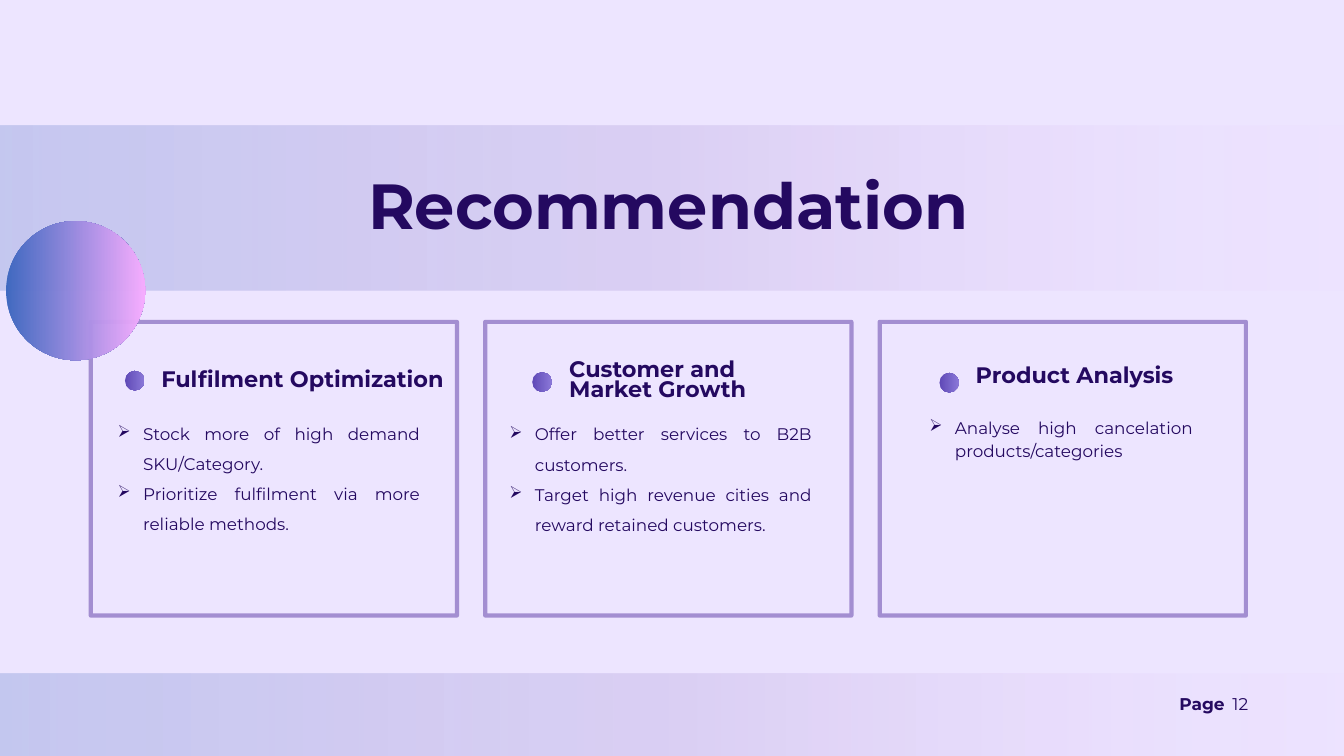
from lxml.etree import SubElement
from pptx import Presentation
from pptx.dml.color import RGBColor
from pptx.enum.shapes import MSO_SHAPE
from pptx.enum.text import MSO_ANCHOR, PP_ALIGN
from pptx.oxml.ns import qn
from pptx.util import Inches, Pt

BACKGROUND = RGBColor(0xED, 0xE5, 0xFF)
INK = RGBColor(0x24, 0x09, 0x60)
PURPLE = RGBColor(0x6B, 0x4C, 0xAF)
BLUE = RGBColor(0x3C, 0x67, 0xBF)
PINK = RGBColor(0xF7, 0xAC, 0xFF)
VIOLET = RGBColor(0x5B, 0x45, 0xB5)
LAVENDER = RGBColor(0x88, 0x75, 0xD7)

# Gradient stops: position %, colour, opacity %
BAND_STOPS = [(0, BLUE, 23), (50, PURPLE, 13), (100, PINK, 0)]
DOT_STOPS = [(0, VIOLET, 96), (100, LAVENDER, 96)]
CIRCLE_STOPS = [(0, BLUE, 96), (100, PINK, 96)]


def add_gradient_shape(preset, left, top, width, height, stops):
    shape = slide.shapes.add_shape(
        preset, Inches(left), Inches(top), Inches(width), Inches(height))
    shape.shadow.inherit = False
    shape.line.fill.background()
    shape.fill.gradient()
    shape.fill.gradient_angle = 0
    stop_list = shape._element.spPr.find(".//" + qn("a:gsLst"))
    for old_stop in list(stop_list):
        stop_list.remove(old_stop)
    for position, color, opacity in stops:
        stop = SubElement(stop_list, qn("a:gs"), pos=str(position * 1000))
        rgb = SubElement(stop, qn("a:srgbClr"), val=str(color))
        SubElement(rgb, qn("a:alpha"), val=str(opacity * 1000))


def write_text(box, paragraphs, size, spacing, bold=False, align=PP_ALIGN.LEFT):
    frame = box.text_frame
    frame.word_wrap = True
    frame.vertical_anchor = MSO_ANCHOR.TOP
    frame.margin_left = frame.margin_right = 0
    frame.margin_top = frame.margin_bottom = 0
    frame.text = "\n".join(paragraphs)
    for paragraph in frame.paragraphs:
        paragraph.alignment = align
        paragraph.line_spacing = spacing
        paragraph.font.name = "Montserrat"
        paragraph.font.size = Pt(size)
        paragraph.font.bold = bold
        paragraph.font.color.rgb = INK


prs = Presentation()
prs.slide_width, prs.slide_height = Inches(20), Inches(11.25)
slide = prs.slides.add_slide(prs.slide_layouts[5])
slide.background.fill.solid()
slide.background.fill.fore_color.rgb = BACKGROUND

# Header and footer bands
for left, top in [(-0.41, 1.87), (-0.15, 10.02)]:
    add_gradient_shape(MSO_SHAPE.RECTANGLE, left, top, 21.35, 2.45, BAND_STOPS)

# Title, brought in front of the bands
title = slide.shapes.title
title.left, title.top = Inches(5.26), Inches(2.85)
title.width, title.height = Inches(9.37), Inches(0.82)
write_text(title, ["Recommendation"], 68.3, Pt(54.7), True, PP_ALIGN.CENTER)
slide.shapes._spTree.append(title._element)

# Page number
for label, left, width, bold in [("Page", 17.55, 0.79, True),
                                 ("12", 18.34, 0.39, False)]:
    page_box = slide.shapes.add_textbox(
        Inches(left), Inches(10.36), Inches(width), Inches(0.27))
    write_text(page_box, [label], 18.2, Pt(18.6), bold)

# Recommendation cards: heading, its box, advice, its box, line spacing, dot top
cards = [
    ("Fulfilment Optimization", (2.4, 5.53, 4.4, 0.3),
     ["Stock more of high demand SKU/Category.",
      "Prioritize fulfilment via more reliable methods."],
     (1.75, 6.15, 4.5, 1.77), 1.5, 5.52),
    ("Customer and Market Growth", (8.47, 5.38, 3.14, 0.61),
     ["Offer better services to B2B customers.",
      "Target high revenue cities and reward retained customers."],
     (7.58, 6.16, 4.5, 1.77), 1.5, 5.54),
    ("Product Analysis", (14.52, 5.47, 3.14, 0.3),
     ["Analyse high cancelation products/categories"],
     (13.83, 6.18, 3.92, 0.65), Pt(24.4), 5.55),
]
for index, (heading, heading_at, advice, advice_at, spacing, dot_top) in enumerate(cards):
    # Frame with a translucent outline
    card = slide.shapes.add_shape(
        MSO_SHAPE.RECTANGLE, Inches(1.35 + 5.87 * index), Inches(4.79),
        Inches(5.45), Inches(4.37))
    card.shadow.inherit = False
    card.fill.background()
    card.line.width = Pt(4.5)
    card.line.color.rgb = PURPLE
    outline_color = card.line._ln.find(".//" + qn("a:srgbClr"))
    SubElement(outline_color, qn("a:alpha"), val="57000")

    # Advice with arrow bullets
    advice_box = slide.shapes.add_textbox(*map(Inches, advice_at))
    write_text(advice_box, advice, 18, spacing, align=PP_ALIGN.JUSTIFY)
    for paragraph in advice_box.text_frame.paragraphs:
        properties = paragraph._p.get_or_add_pPr()
        properties.set("marL", str(Inches(0.38)))
        properties.set("indent", str(Inches(-0.38)))
        bullet = SubElement(properties, qn("a:buChar"), char="➢")
        properties.find(qn("a:defRPr")).addprevious(bullet)

    # Dot and heading
    add_gradient_shape(MSO_SHAPE.OVAL, 1.86 + 6.06 * index, dot_top,
                       0.29, 0.29, DOT_STOPS)
    heading_box = slide.shapes.add_textbox(*map(Inches, heading_at))
    write_text(heading_box, [heading], 24, Pt(21.4), True)

# Decorative circle
add_gradient_shape(MSO_SHAPE.OVAL, 0.09, 3.29, 2.07, 2.07, CIRCLE_STOPS)

prs.save("out.pptx")
